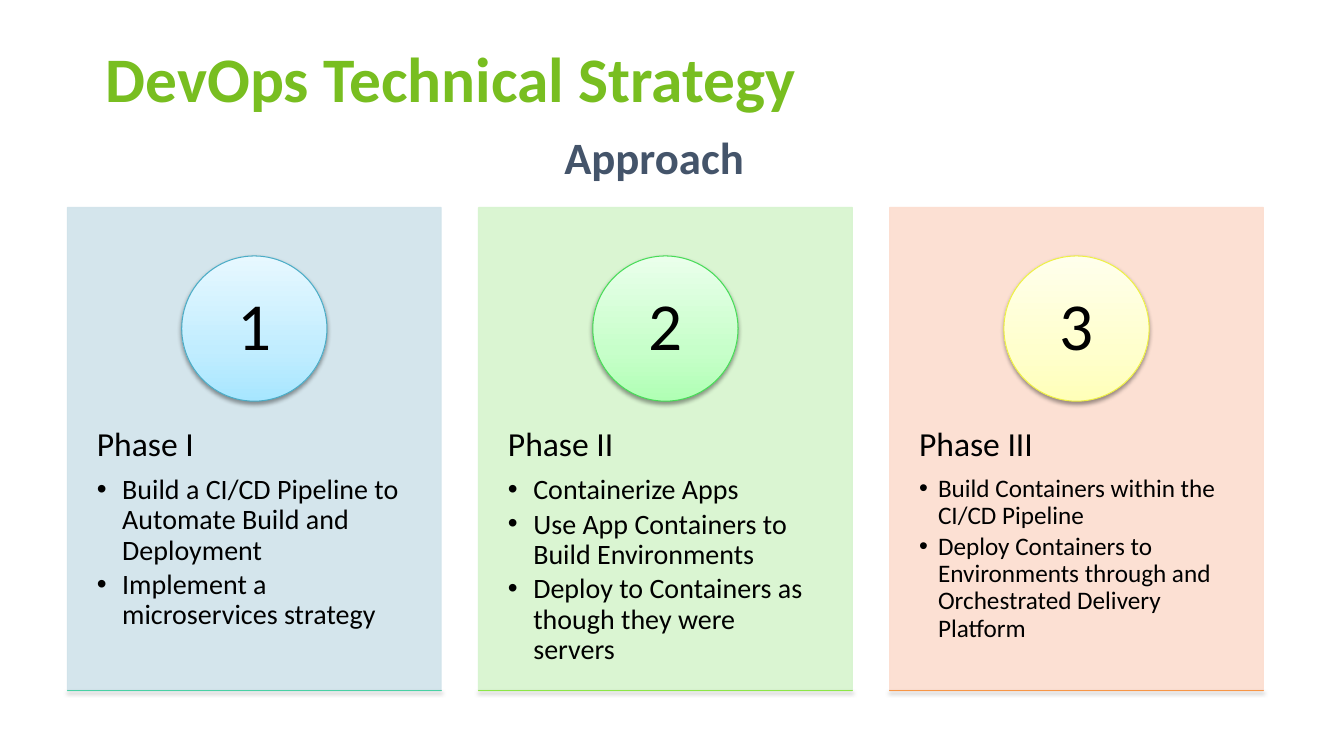
from copy import deepcopy

from pptx import Presentation
from pptx.dml.color import RGBColor
from pptx.enum.shapes import MSO_SHAPE as Preset
from pptx.enum.text import MSO_ANCHOR as Anchor, MSO_AUTO_SIZE as AutoSize, PP_ALIGN as Align
from pptx.oxml import parse_xml
from pptx.oxml.ns import nsdecls, qn
from pptx.util import Cm, Pt

COLORS = {
    "title": "78BE20",
    "subtitle": "44546A",
    "text": "000000",
}
PHASES = [
    {
        "name": "Phase I", "size": 20, "indent": 0.64, "card": "D0E3EA",
        "circle": ("A7E6FF", "C1EDFF", "E7F8FF"), "circle_line": "4BACC6",
        "rule": ("ACFFD9", "C4FFE4", "E8FFF4"), "rule_line": "49D1A3",
        "items": ["Build a CI/CD Pipeline to Automate Build and Deployment",
                  "Implement a microservices strategy"],
    },
    {
        "name": "Phase II", "size": 20, "indent": 0.64, "card": "D6F4CE",
        "circle": ("B0FFB4", "C7FFCA", "EAFFEB"), "circle_line": "47DC57",
        "rule": ("CCFFB4", "DAFFCA", "F1FFEB"), "rule_line": "8DE646",
        "items": ["Containerize Apps",
                  "Use App Containers to Build Environments",
                  "Deploy to Containers as though they were servers"],
    },
    {
        "name": "Phase III", "size": 18, "indent": 0.48, "card": "FCDDCF",
        "circle": ("FFFFB9", "FFFFCD", "FFFFEC"), "circle_line": "EEEF46",
        "rule": ("FFD2BD", "FFDED0", "FFF2ED"), "rule_line": "F79646",
        "items": ["Build Containers within the CI/CD Pipeline",
                  "Deploy Containers to Environments through and Orchestrated Delivery Platform"],
    },
]
CARD_LEFT, CARD_TOP, CARD_WIDTH, CARD_HEIGHT, CARD_PITCH = 1.7, 5.23, 9.42, 12.18, 10.36
CIRCLE_TOP, CIRCLE_SIZE = 6.45, 3.66
LIST_TOP, LIST_HEIGHT = 9.86, 7.32


def write(paragraph, text, size, color="text", bold=False, align=Align.LEFT,
          spacing=0.9, after=0, indent=0):
    """Fill one paragraph; a positive indent in centimetres makes it a bullet."""
    properties = paragraph._p.get_or_add_pPr()
    properties.set("marL", str(Cm(indent)))
    properties.set("indent", str(-Cm(indent)))
    bullet = '<a:buChar %s char="•"/>' if indent else "<a:buNone %s/>"
    properties.append(parse_xml(bullet % nsdecls("a")))
    paragraph.level = 1 if indent else 0
    paragraph.alignment = align
    paragraph.line_spacing = spacing
    paragraph.space_before, paragraph.space_after = Pt(0), Pt(after)
    run = paragraph.add_run()
    run.text = text
    font = run.font
    font.name, font.size, font.bold = "Calibri", Pt(size), bold
    font.color.rgb = RGBColor.from_string(COLORS[color])


class PhaseSlide:
    """Hold the slide and draw its elements in one style."""

    def __init__(self, slide):
        """Keep the slide to draw on."""
        self.slide = slide

    def frame(self, shape, inset_x, inset_y, anchor=Anchor.TOP):
        """Set up the text frame of a shape and return it."""
        frame = shape.text_frame
        frame.word_wrap, frame.auto_size = True, AutoSize.NONE
        frame.vertical_anchor = anchor
        frame.margin_left = frame.margin_right = Cm(inset_x)
        frame.margin_top = frame.margin_bottom = Cm(inset_y)
        return frame

    def placeholder(self, index, left, top, width, height, inset_x, inset_y):
        """Move a placeholder to the front and into place; return its frame."""
        shape = next(item for item in self.slide.placeholders
                     if item.placeholder_format.idx == index)
        shape.element.getparent().append(shape.element)
        shape.left, shape.top = Cm(left), Cm(top)
        shape.width, shape.height = Cm(width), Cm(height)
        return self.frame(shape, inset_x, inset_y)

    def shape(self, preset, left, top, width, height, line):
        """Add a preset shape with a thin outline and no shadow."""
        shape = self.slide.shapes.add_shape(preset, Cm(left), Cm(top), Cm(width), Cm(height))
        shape.shadow.inherit = False
        shape.line.width = Pt(0.75)
        shape.line.color.rgb = RGBColor.from_string(line)
        return shape

    def card(self, left, color):
        """Add a slightly transparent panel."""
        card = self.shape(Preset.RECTANGLE, left, CARD_TOP, CARD_WIDTH, CARD_HEIGHT, color)
        card.fill.solid()
        card.fill.fore_color.rgb = RGBColor.from_string(color)
        for node in card.element.spPr.iter(qn("a:srgbClr")):
            node.append(parse_xml('<a:alpha %s val="90000"/>' % nsdecls("a")))

    def glossy(self, preset, left, top, width, height, gradient, line):
        """Add a shape with a three-stop gradient and a soft shadow."""
        shape = self.shape(preset, left, top, width, height, line)
        shape.fill.gradient()
        shape.fill.gradient_angle = 90
        stops = shape.element.spPr.find(".//" + qn("a:gsLst"))
        stops.append(deepcopy(stops[0]))
        for stop, position, color in zip(shape.fill.gradient_stops, (0, 0.35, 1), gradient):
            stop.position = position
            stop.color.rgb = RGBColor.from_string(color)
        shape.element.spPr.find(qn("a:effectLst")).append(parse_xml(
            '<a:outerShdw %s blurRad="%d" dist="%d" dir="5400000" rotWithShape="0">'
            '<a:srgbClr val="000000"><a:alpha val="38000"/></a:srgbClr></a:outerShdw>'
            % (nsdecls("a"), Pt(3.1), Pt(1.6))))
        return shape

    def phase(self, number, phase):
        """Draw one phase: card, list, numbered circle and bottom rule."""
        left = CARD_LEFT + (number - 1) * CARD_PITCH
        self.card(left, phase["card"])
        frame = self.placeholder(number + 1, left, LIST_TOP, CARD_WIDTH, LIST_HEIGHT, 0.74, 0.91)
        write(frame.paragraphs[0], phase["name"], 24, after=8.4)
        for item in phase["items"]:
            write(frame.add_paragraph(), item, phase["size"], after=0.15 * phase["size"],
                  indent=phase["indent"])
        circle = self.glossy(Preset.OVAL, left + (CARD_WIDTH - CIRCLE_SIZE) / 2, CIRCLE_TOP,
                             CIRCLE_SIZE, CIRCLE_SIZE, phase["circle"], phase["circle_line"])
        write(self.frame(circle, 0.28, 0.03, Anchor.MIDDLE).paragraphs[0],
              str(number), 48, align=Align.CENTER)
        self.glossy(Preset.RECTANGLE, left, CARD_TOP + CARD_HEIGHT, CARD_WIDTH, 0,
                    phase["rule"], phase["rule_line"])


def main():
    """Build and save the presentation."""
    presentation = Presentation()
    presentation.slide_width, presentation.slide_height = Cm(33.87), Cm(19.05)
    slide = presentation.slides.add_slide(presentation.slide_layouts.get_by_name("Comparison"))
    page = PhaseSlide(slide)
    for number, phase in enumerate(PHASES, start=1):
        page.phase(number, phase)
    subtitle = page.placeholder(1, 13.97, 3.15, 5.92, 1.63, 0.25, 0.13)
    write(subtitle.paragraphs[0], "Approach", 32, "subtitle", bold=True, spacing=1.0)
    title = page.placeholder(0, 2.34, 1.02, 29.21, 3.68, 0.33, 0.18)
    write(title.paragraphs[0], "DevOps Technical Strategy", 45.3, "title", bold=True)
    presentation.save("out.pptx")


if __name__ == "__main__":
    main()
